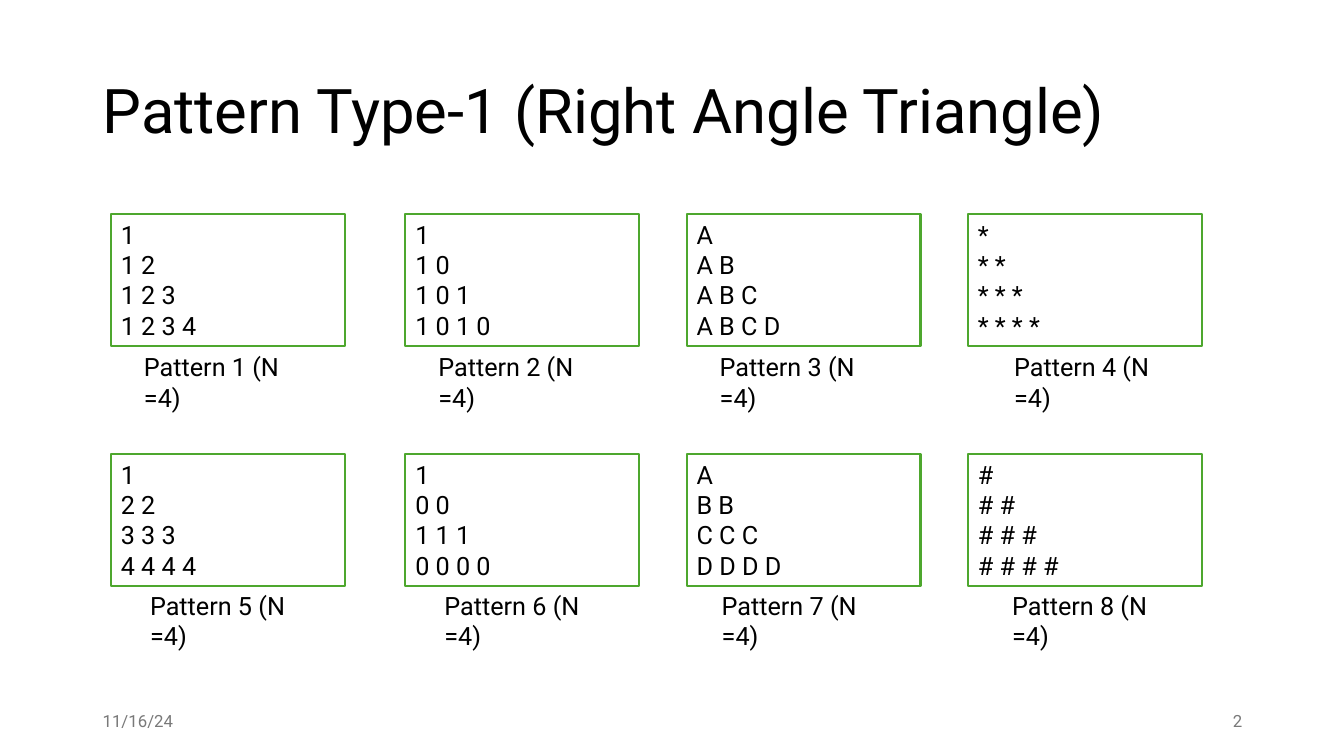
from pptx import Presentation
from pptx import util as u
from pptx.dml.color import RGBColor
from pptx.enum import shapes, text

BLACK = RGBColor(0x00, 0x00, 0x00)
WHITE = RGBColor(0xFF, 0xFF, 0xFF)
GREEN = RGBColor(0x4E, 0xA7, 0x2E)
GRAY = RGBColor(0x79, 0x79, 0x79)

N = 4
COLUMN_LEFTS = [1.1, 4.02, 6.81, 9.6]
PATTERN_ROWS = [
    (2.12, 3.44, ["1234", "1010", "ABCD", "****"], [1.33, 4.25, 7.04, 9.96]),
    (4.5, 5.81, ["1234", "1010", "ABCD", "####"], [1.39, 4.31, 7.06, 9.94]),
]


def write(shape, content, size, color, anchor, align=text.PP_ALIGN.LEFT):
    frame = shape.text_frame
    frame.text = content
    frame.word_wrap = True
    frame.vertical_anchor = anchor
    for para in frame.paragraphs:
        para.alignment = align
        for span in para.runs:
            span.font.name = "Roboto"
            span.font.size = u.Pt(size)
            span.font.color.rgb = color


def add_text(page, left, top, width, height, *style):
    box = page.shapes.add_textbox(
        u.Inches(left), u.Inches(top), u.Inches(width), u.Inches(height))
    write(box, *style)
    return box


deck = Presentation()
deck.slide_width = u.Inches(13.33)
deck.slide_height = u.Inches(7.5)
page = deck.slides.add_slide(deck.slide_layouts[6])

title = add_text(page, 0.92, 0.4, 11.5, 1.45, "Pattern Type-1 (Right Angle Triangle)",
                 44, BLACK, text.MSO_ANCHOR.MIDDLE)
title.text_frame.paragraphs[0].line_spacing = 0.9

for row, (top, caption_top, symbol_sets, caption_lefts) in enumerate(PATTERN_ROWS):
    for column, symbols in enumerate(symbol_sets):
        if row == 0:
            lines = [symbols[:count] for count in range(1, N + 1)]
        else:
            lines = [symbols[count - 1] * count for count in range(1, N + 1)]
        triangle = "\n".join(" ".join(line) for line in lines)

        box = page.shapes.add_shape(
            shapes.MSO_SHAPE.RECTANGLE, u.Inches(COLUMN_LEFTS[column]),
            u.Inches(top), u.Inches(2.32), u.Inches(1.31))
        box.shadow.inherit = False
        box.fill.solid()
        box.fill.fore_color.rgb = WHITE
        box.line.color.rgb = GREEN
        box.line.width = u.Pt(1.5)
        write(box, triangle, 18, BLACK, text.MSO_ANCHOR.MIDDLE)

        number = row * len(symbol_sets) + column + 1
        add_text(page, caption_lefts[column], caption_top, 1.87, 0.4,
                 f"Pattern {number} (N ={N})", 18, BLACK, text.MSO_ANCHOR.TOP)

add_text(page, 0.92, 6.95, 3, 0.4, "11/16/24", 12, GRAY, text.MSO_ANCHOR.MIDDLE)
add_text(page, 9.42, 6.95, 3, 0.4, "2", 12, GRAY, text.MSO_ANCHOR.MIDDLE,
         text.PP_ALIGN.RIGHT)

deck.save("out.pptx")
